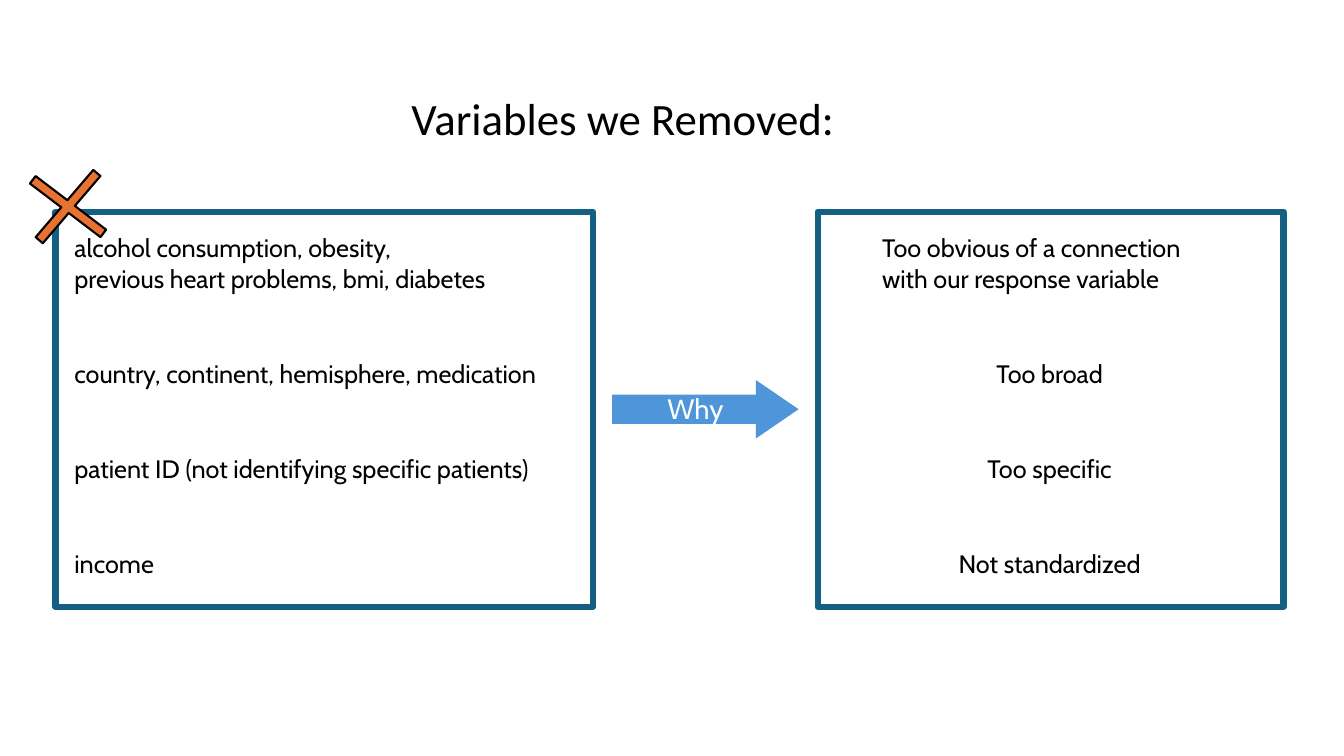
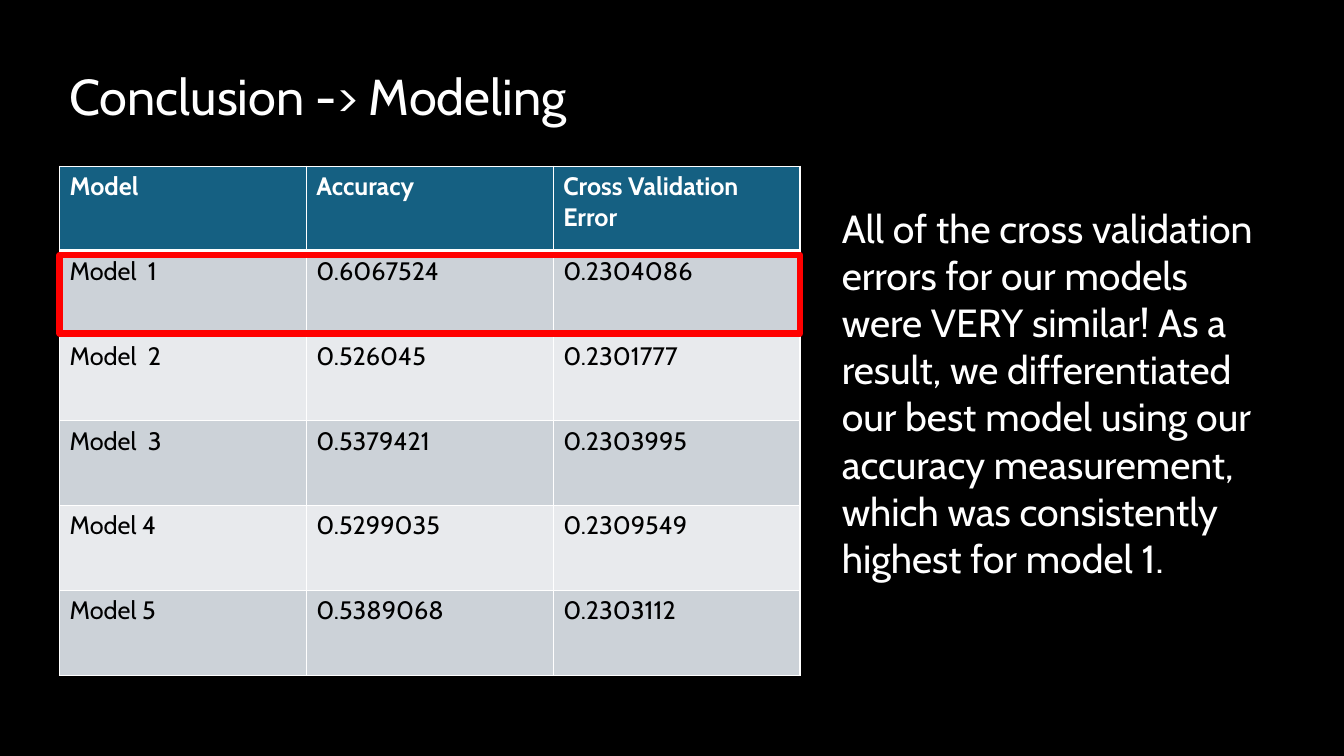
from lxml.etree import SubElement
from pptx import Presentation
from pptx.dml.color import RGBColor
from pptx.enum.shapes import MSO_SHAPE as Preset
from pptx.enum.text import MSO_ANCHOR as Anchor, MSO_AUTO_SIZE as AutoSize, PP_ALIGN as Align
from pptx.oxml.ns import qn
from pptx.util import Inches, Pt

COLORS = {
    "black": "000000", "white": "FFFFFF", "teal": "156082", "blue": "4E95D9",
    "orange": "E97132", "red": "FF0000", "odd row": "CCD2D8", "even row": "E8EAED",
}
COLORS = {name: RGBColor.from_string(value) for name, value in COLORS.items()}
FONT = "Cabin"

presentation = Presentation()
presentation.slide_width = Inches(13.33)
presentation.slide_height = Inches(7.5)
title_only = presentation.slide_layouts[5]


def area(left, top, width, height):
    """Turn percentages of the slide's size into lengths."""
    across, down = presentation.slide_width / 100, presentation.slide_height / 100
    return int(left * across), int(top * down), int(width * across), int(height * down)


def write(text_frame, text, size, color, font=FONT, bold=False, align=Align.LEFT):
    """Fill a frame with text, one paragraph a line, in one format."""
    text_frame.text = text
    text_frame.word_wrap = True
    text_frame.vertical_anchor = Anchor.TOP
    for paragraph in text_frame.paragraphs:
        paragraph.alignment = align
        for run in paragraph.runs:
            run.font.size = Pt(size)
            run.font.name = font
            run.font.bold = bold
            run.font.color.rgb = COLORS[color]


# Both slides: background and title
slides = []
for background, text, place, size, color, font in [
    ("white", "Variables we Removed:", (29.86, 11.33, 50, 8.53), 32, "black", "Calibri"),
    ("black", "Conclusion -> Modeling", (4.43, 8, 50, 9.47), 36, "white", FONT),
]:
    slide = presentation.slides.add_slide(title_only)
    slide.background.fill.solid()
    slide.background.fill.fore_color.rgb = COLORS[background]
    title = slide.shapes.title
    title.left, title.top, title.width, title.height = area(*place)
    write(title.text_frame, text, size, color, font)
    title.text_frame.auto_size = AutoSize.NONE
    slides.append(slide)
variables, conclusion = slides

# Removed variables and the reasons
FIRST_TOP, SECOND_TOP, PITCH = 30.13, 46.8, 12.53
tops = [FIRST_TOP] + [SECOND_TOP + PITCH * step for step in range(3)]
removed = [
    "alcohol consumption, obesity,\nprevious heart problems, bmi, diabetes",
    "country, continent, hemisphere, medication",
    "patient ID (not identifying specific patients)",
    "income",
]
reasons = [
    "Too obvious of a connection\nwith our response variable",
    "Too broad", "Too specific", "Not standardized",
]
for left, width, texts, short_align in [
    (4.8, 37.1, removed, Align.LEFT),
    (64.89, 26.4, reasons, Align.CENTER),
]:
    for top, text in zip(tops, texts):
        two_lines = "\n" in text
        box = variables.shapes.add_textbox(*area(left, top, width, 9.47 if two_lines else 5.33))
        write(box.text_frame, text, 18, "black", align=Align.LEFT if two_lines else short_align)

# Table of models
rows = [
    ("Model", "Accuracy", "Cross Validation Error"),
    ("Model  1", "0.6067524", "0.2304086"),
    ("Model  2", "0.526045", "0.2301777"),
    ("Model  3", "0.5379421", "0.2303995"),
    ("Model 4", "0.5299035", "0.2309549"),
    ("Model 5", "0.5389068", "0.2303112"),
]
TABLE_LEFT, TABLE_WIDTH = 4.43, 55.1
table = conclusion.shapes.add_table(
    len(rows), len(rows[0]), *area(TABLE_LEFT, 22, TABLE_WIDTH, 67.33)).table
for row_index, values in enumerate(rows):
    header = row_index == 0
    fill = "teal" if header else "odd row" if row_index % 2 else "even row"
    for column_index, value in enumerate(values):
        cell = table.cell(row_index, column_index)
        write(cell.text_frame, value, 18, "white" if header else "black", bold=header)
        properties = cell._tc.get_or_add_tcPr()
        for side in ("L", "R", "T", "B"):
            under_header = (row_index, side) in [(0, "B"), (1, "T")]
            border = SubElement(properties, qn(f"a:ln{side}"), w=str(Pt(3 if under_header else 1)))
            solid = SubElement(border, qn("a:solidFill"))
            SubElement(solid, qn("a:srgbClr"), val=str(COLORS["white"]))
        cell.fill.solid()
        cell.fill.fore_color.rgb = COLORS[fill]

# Panels, arrow, cross and the highlighted row
drawn = {}
for name, slide, preset, place, fill, line, line_width in [
    ("arrow", variables, Preset.RIGHT_ARROW, (45.54, 50.27, 13.88, 7.73), "blue", None, 0),
    ("removed panel", variables, Preset.RECTANGLE, (4.13, 28, 40, 52.27), None, "teal", 4.5),
    ("reasons panel", variables, Preset.RECTANGLE, (60.84, 28, 34.66, 52.27), None, "teal", 4.5),
    ("cross", variables, Preset.MATH_MULTIPLY, (0.45, 19.6, 9.23, 15.47), "orange", "black", 1.5),
    ("best model", conclusion, Preset.RECTANGLE,
     (TABLE_LEFT, 33.73, TABLE_WIDTH, 10.4), None, "red", 4.5),
]:
    shape = slide.shapes.add_shape(preset, *area(*place))
    shape.shadow.inherit = False
    if fill:
        shape.fill.solid()
        shape.fill.fore_color.rgb = COLORS[fill]
    else:
        shape.fill.background()
    if line:
        shape.line.color.rgb = COLORS[line]
        shape.line.width = Pt(line_width)
    else:
        shape.line.fill.background()
    drawn[name] = shape
drawn["arrow"].adjustments[1] = 0.73
drawn["cross"].adjustments[0] = 0.08
drawn["cross"].rotation = 353.9

why = variables.shapes.add_textbox(*area(48.91, 51.07, 6, 5.87))
write(why.text_frame, "Why?", 20, "white")
why.text_frame.word_wrap = False

# Conclusion beside the table
finding = conclusion.shapes.add_textbox(*area(61.9, 26.4, 32.63, 57.87))
write(finding.text_frame,
      "All of the cross validation errors for our models were VERY similar! As a result, "
      "we differentiated our best model using our accuracy measurement, which was "
      "consistently highest for model 1.", 28, "white")

presentation.save("out.pptx")
